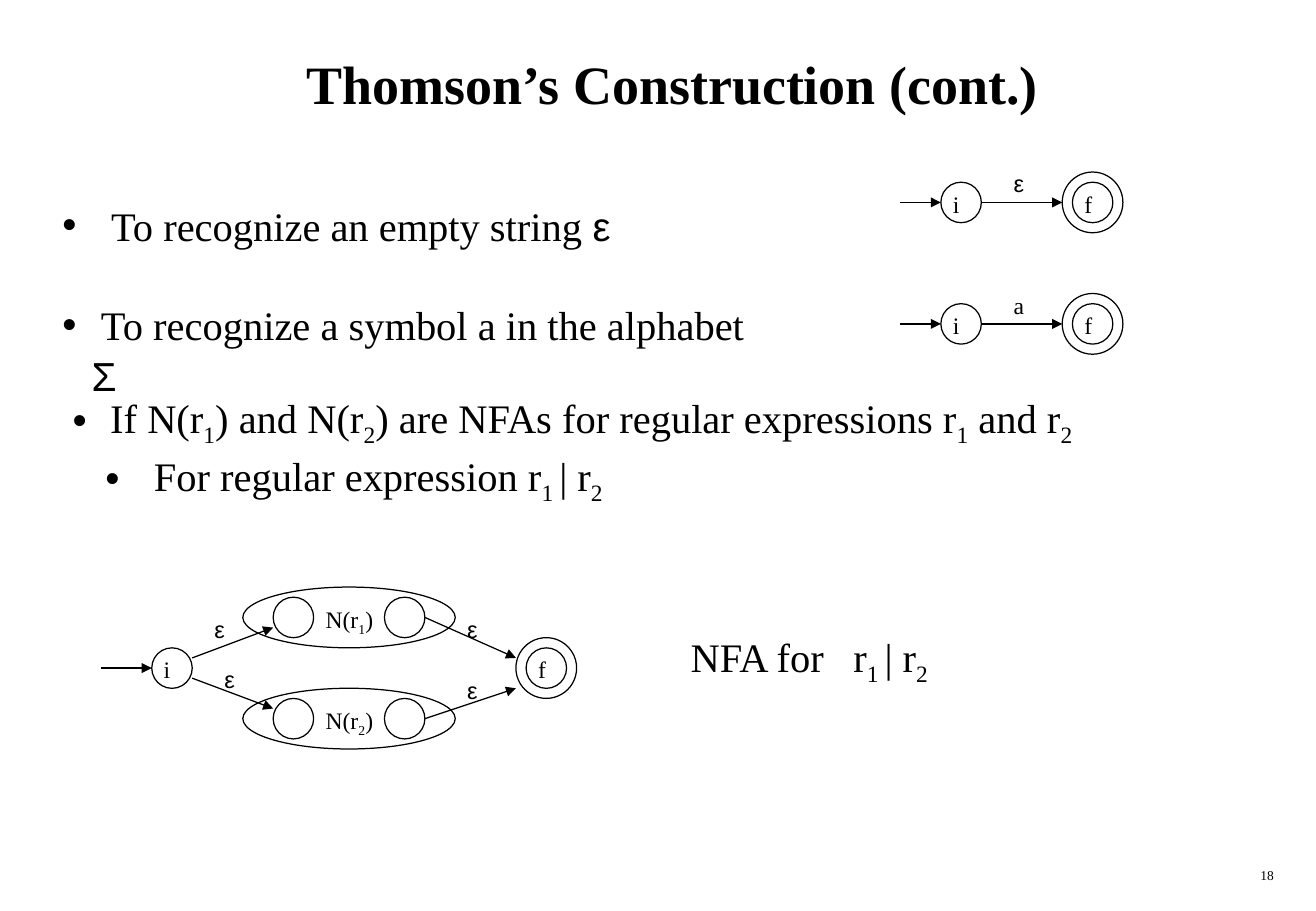
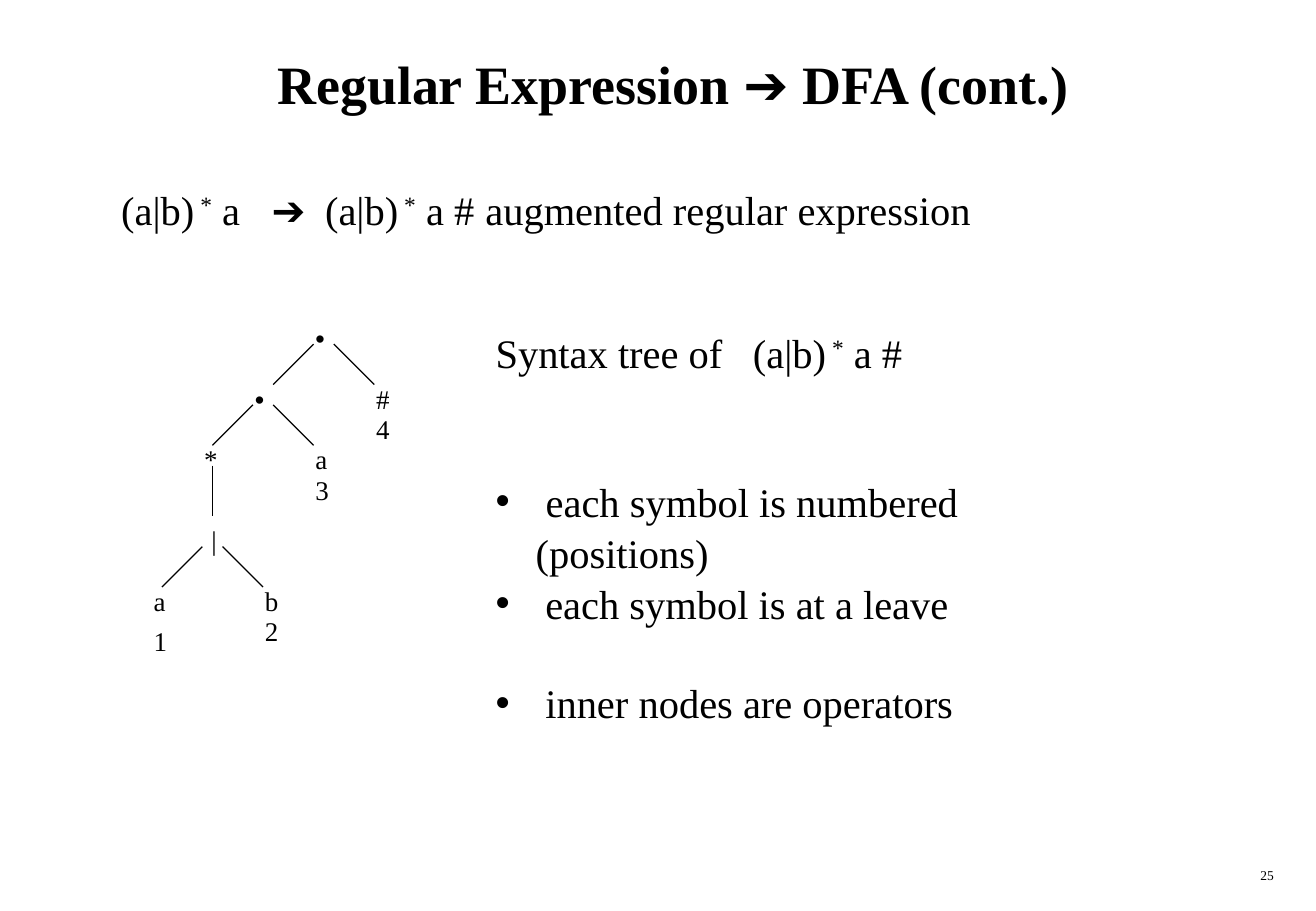
from itertools import groupby
from lxml import etree
from pptx import Presentation
from pptx.dml.color import RGBColor
from pptx.enum.shapes import MSO_CONNECTOR, MSO_SHAPE
from pptx.enum.text import MSO_ANCHOR, PP_ALIGN
from pptx.oxml.ns import qn
from pptx.util import Inches, Pt

COLORS = {"ink": "000000", "page": "FFFFFF"}
FONTS = {False: "Times New Roman", True: "Arial"}
SYMBOLS = "εΣ➔•"
UNIT = 1 / 12
GAP = 28.9

TITLES = [("Thomson’s Construction (cont.)", "18"),
          ("Regular Expression ➔ DFA (cont.)", "25")]

NFA_TEXT = [
    (5, 19, 72, 21, [
        {"text": "To recognize an empty string ε", "left": 0.4, "hang": 0.4},
        {"text": " To recognize a symbol a in the alphabet Σ",
         "left": 0.24, "hang": 0.24, "before": GAP}]),
    (6, 38, 102, 12, [
        {"text": "If N(r_1_) and N(r_2_) are NFAs for regular expressions r_1_ and r_2",
         "left": 0.31, "hang": 0.31},
        {"text": "For regular expression r_1 _| r_2", "left": 0.67, "hang": 0.4}]),
    (67.1, 61.6, 36, 6.7, [{"text": "NFA for\tr_1 _| r_2", "tabs": [1.34]}]),
]
SIMPLE = [("ε", 20), ("a", 32)]
PARTS = [("N(r_1_)", 61), ("N(r_2_)", 71)]
EPSILONS = [(20, 60), (45, 60), (45, 66), (21, 65)]
BRANCHES = [(19, 65, 27, 62), (19, 67, 27, 70), (42, 61, 51, 65), (42, 71, 51, 68)]

TREE_TEXT = [
    (10.8, 17.5, 96, 6, [
        {"text": "(a|b)^ *^ a\t➔\t(a|b)^ *^ a #\taugmented regular expression",
         "tabs": [1.24, 1.68, 3]}]),
    (47.8, 31.6, 64.7, 39.6, [
        {"text": "Syntax tree of\t(a|b)^ *^ a #", "tabs": [2.12]},
        {"text": " each symbol is numbered (positions)",
         "left": 0.33, "hang": 0.33, "before": 2 * GAP},
        {"text": "each symbol is at a leave", "left": 0.41, "hang": 0.41},
        {"text": "inner nodes are operators", "left": 0.41, "hang": 0.41, "before": GAP}]),
]
NODES = [("•", 30, 31), ("•", 24, 37), ("*", 19, 43), ("|", 19.7, 51),
         ("#", 36, 37), ("4", 36, 40), ("a", 30, 43), ("3", 30, 46),
         ("a", 14, 57), ("1", 14, 61), ("b", 25, 57), ("2", 25, 60)]
EDGES = [(31, 34, 27, 38), (33, 34, 37, 38), (25, 40, 21, 44), (27, 40, 31, 44),
         (21, 46, 21, 51), (20, 54, 16, 58), (22, 54, 26, 58)]


def grid(*cells):
    return [Inches(cell * UNIT) for cell in cells]


def color(name):
    return RGBColor.from_string(COLORS[name])


def child(parent, tag, **values):
    item = etree.SubElement(parent, qn(tag))
    for name, value in values.items():
        item.set(name, str(value))
    return item


def add_runs(para, text, size, bold):
    for low, part in enumerate(text.split("_")):
        for high, piece in enumerate(part.split("^")):
            for symbol, chars in groupby(piece, key=lambda char: char in SYMBOLS):
                run = para.add_run()
                run.text = "".join(chars)
                look = {"name": FONTS[symbol], "size": Pt(size), "bold": bold}
                for name, value in look.items():
                    setattr(run.font, name, value)
                run.font.color.rgb = color("ink")
                shift = -25000 if low % 2 else 30000 if high % 2 else 0
                if shift:
                    run._r.get_or_add_rPr().set("baseline", str(shift))


def add_text(slide, x, y, width, height, paras, size=24, bold=False,
             align=PP_ALIGN.LEFT, anchor=MSO_ANCHOR.TOP):
    frame = slide.shapes.add_textbox(*grid(x, y, width, height)).text_frame
    frame.word_wrap = True
    frame.vertical_anchor = anchor
    for number, item in enumerate(paras):
        para = frame.add_paragraph() if number else frame.paragraphs[0]
        look = {"alignment": align, "line_spacing": 1.05,
                "space_before": Pt(item.get("before", 0))}
        for name, value in look.items():
            setattr(para, name, value)
        props = para._p.get_or_add_pPr()
        if "hang" in item:
            props.set("marL", str(Inches(item["left"])))
            props.set("indent", str(-Inches(item["hang"])))
            child(props, "a:buFont", typeface=FONTS[True])
            child(props, "a:buChar", char="•")
        if "tabs" in item:
            stops = child(props, "a:tabLst")
            for stop in item["tabs"]:
                child(stops, "a:tab", pos=Inches(stop), algn="l")
        add_runs(para, item["text"], size, bold)


def add_label(slide, text, x, y, size=14, width=4.5):
    add_text(slide, x, y, width, 4, [{"text": text}], size)


def add_oval(slide, x, y, width=4, height=4):
    box = grid(x - width / 2, y - height / 2, width, height)
    oval = slide.shapes.add_shape(MSO_SHAPE.OVAL, *box)
    oval.shadow.inherit = False
    oval.fill.background()
    oval.line.color.rgb = color("ink")
    oval.line.width = Pt(0.75)


def add_line(slide, ends, arrow=False):
    line = slide.shapes.add_connector(MSO_CONNECTOR.STRAIGHT, *grid(*ends))
    line.line.color.rgb = color("ink")
    line.line.width = Pt(0.75)
    props = line._element.spPr
    if arrow:
        child(props.find(qn("a:ln")), "a:tailEnd", type="triangle")
    child(props, "a:effectLst")


def add_ends(slide, start, final, y, lead):
    add_oval(slide, start, y)
    add_oval(slide, final, y)
    add_oval(slide, final, y, 6, 6)
    add_line(slide, (start - lead, y, start - 2, y), True)
    for name, x in (("i", start), ("f", final)):
        add_label(slide, name, x - 2, y - 2)


def add_page(deck, title, number, texts):
    slide = deck.slides.add_slide(deck.slide_layouts[6])
    slide.background.fill.solid()
    slide.background.fill.fore_color.rgb = color("page")
    add_text(slide, 5, 2, 123, 12, [{"text": title}], 32, True,
             PP_ALIGN.CENTER, MSO_ANCHOR.MIDDLE)
    add_text(slide, 100, 85, 27.1, 3, [{"text": number}], 8, align=PP_ALIGN.RIGHT)
    for text in texts:
        add_text(slide, *text)
    return slide


def draw_nfa(slide):
    for symbol, y in SIMPLE:
        add_ends(slide, 95, 108, y, 6)
        add_line(slide, (97, y, 105, y), True)
        add_label(slide, symbol, 99, y - 4)
    add_ends(slide, 17, 54, 66, 7)
    for name, y in PARTS:
        add_oval(slide, 34.5, y, 21, 6)
        for x in (29, 40):
            add_oval(slide, x, y)
        add_label(slide, name, 31, y - 2, width=9)
    for ends in BRANCHES:
        add_line(slide, ends, True)
    for x, y in EPSILONS:
        add_label(slide, "ε", x, y)


def draw_tree(slide):
    for ends in EDGES:
        add_line(slide, ends)
    for text, x, y in NODES:
        add_label(slide, text, x, y, 16)


def main():
    deck = Presentation()
    deck.slide_width, deck.slide_height = Inches(10.84), Inches(7.5)
    pages = zip(TITLES, (NFA_TEXT, TREE_TEXT), (draw_nfa, draw_tree))
    for (title, number), texts, draw in pages:
        draw(add_page(deck, title, number, texts))
    deck.save("out.pptx")


if __name__ == "__main__":
    main()
